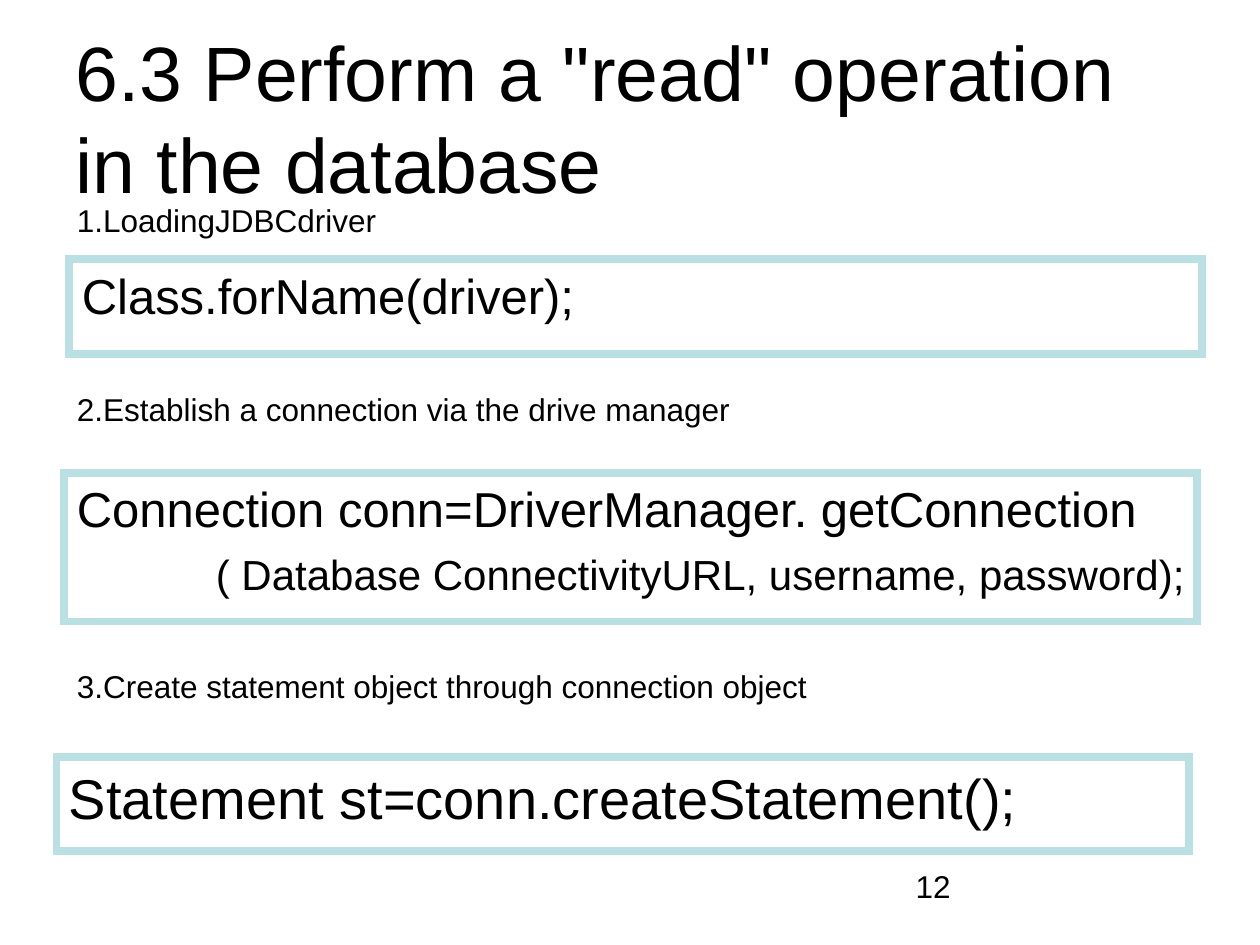
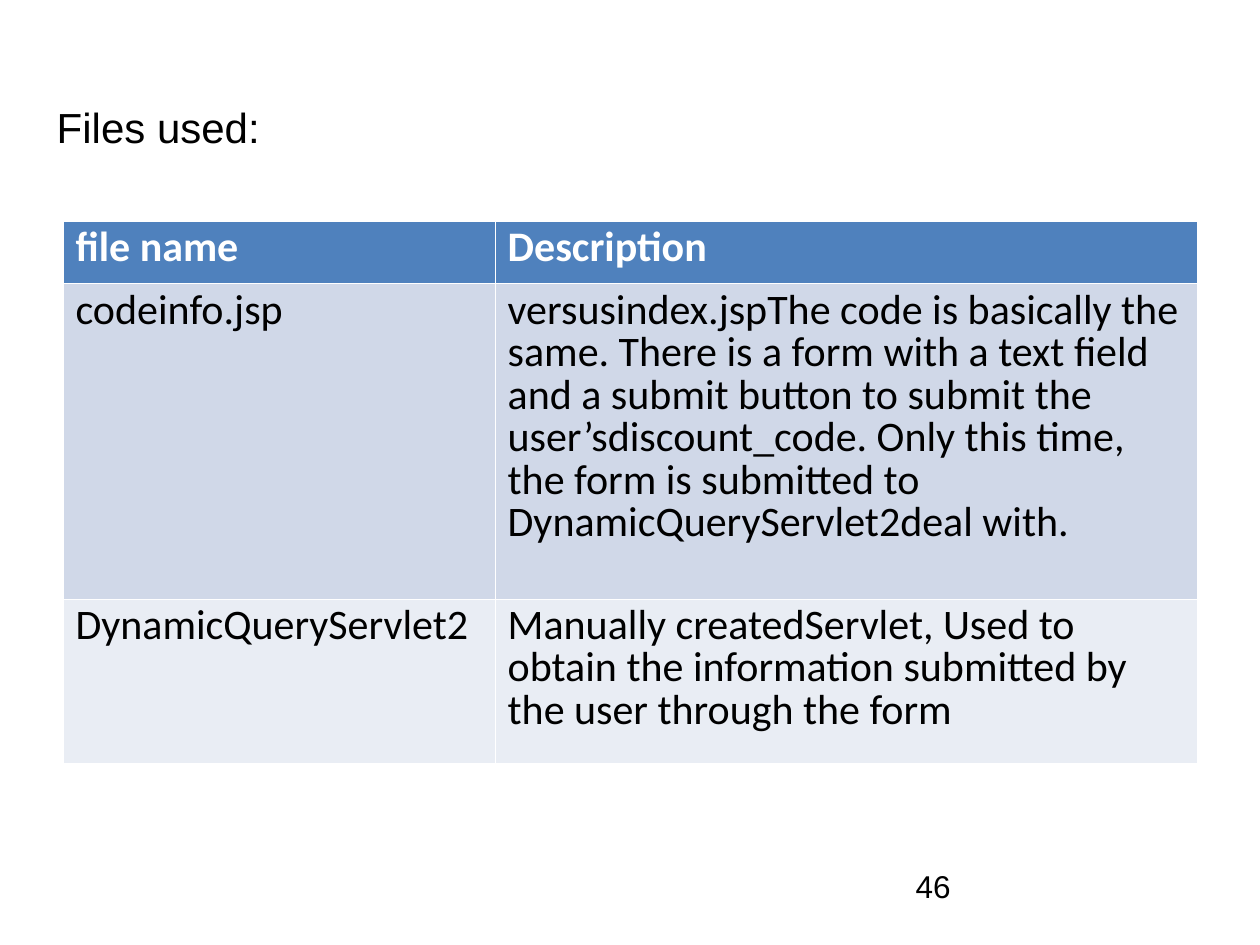
from lxml import etree
from pptx import Presentation
from pptx.dml.color import RGBColor
from pptx.enum import shapes, text
from pptx.oxml import ns
from pptx.util import Cm, Pt

BLACK, WHITE = "000000", "FFFFFF"
FRAME = "BBE0E3"
HEADER_FILL, ROW_FILLS = "4F81BD", ("D0D8E8", "E9EDF4")
TITLE_ONLY = 5


def colour(hex_code):
    return RGBColor.from_string(hex_code)


def write(paragraph, words, size=18, font="Arial", ink=BLACK, bold=False,
          align=text.PP_ALIGN.LEFT, before=0, spacing=None):
    """Put formatted words into a paragraph."""
    paragraph.alignment = align
    paragraph.space_before = Pt(before)
    if spacing:
        paragraph.line_spacing = spacing
    run = paragraph.add_run()
    run.text = words
    run.font.size, run.font.name, run.font.bold = Pt(size), font, bold
    run.font.color.rgb = colour(ink)


def place(shape, box):
    shape.left, shape.top, shape.width, shape.height = map(Cm, box)


def add_title(slide, words, box, size=44, anchor=text.MSO_ANCHOR.MIDDLE):
    title = slide.shapes.title
    place(title, box)
    frame = title.text_frame
    frame.auto_size = text.MSO_AUTO_SIZE.NONE
    frame.word_wrap = True
    frame.vertical_anchor = anchor
    write(frame.paragraphs[0], words, size)


def add_label(slide, words, box):
    frame = slide.shapes.add_textbox(*map(Cm, box)).text_frame
    frame.word_wrap = True
    write(frame.paragraphs[0], words)


def add_page_number(slide, number):
    add_label(slide, str(number), (18.21, 17.35, 5.92, 1.32))


def add_code_box(slide, lines, box):
    """Framed code; each line is (words, format)."""
    panel = slide.shapes.add_shape(shapes.MSO_SHAPE.RECTANGLE, *map(Cm, box))
    panel.shadow.inherit = False
    panel.fill.background()
    panel.line.color.rgb = colour(FRAME)
    panel.line.width = Pt(4.5)
    # Square corners
    outline = panel.line._get_or_add_ln()
    etree.SubElement(outline, ns.qn("a:miter"), lim="800000")
    frame = panel.text_frame
    frame.word_wrap = True
    frame.vertical_anchor = text.MSO_ANCHOR.TOP
    for i, (words, style) in enumerate(lines):
        paragraph = frame.add_paragraph() if i else frame.paragraphs[0]
        write(paragraph, words, **style)


def set_borders(cell, **widths):
    """White cell borders; widths in points by side L, R, T, B."""
    properties = cell._tc.get_or_add_tcPr()
    for side, width in widths.items():
        line = etree.SubElement(properties, ns.qn(f"a:ln{side}"), w=str(Pt(width)))
        fill = etree.SubElement(line, ns.qn("a:solidFill"))
        etree.SubElement(fill, ns.qn("a:srgbClr"), val=WHITE)


def add_file_table(slide, rows, box, column_widths, row_heights):
    table = slide.shapes.add_table(len(rows), len(rows[0]), *map(Cm, box)).table
    for column, width in zip(table.columns, column_widths):
        column.width = Cm(width)
    for r, (row, height) in enumerate(zip(rows, row_heights)):
        table.rows[r].height = Cm(height)
        header = r == 0
        for c, words in enumerate(row):
            cell = table.cell(r, c)
            set_borders(cell, L=0.23, R=0.23, T=0.75 if r == 1 else 0.23,
                        B=0.75 if header else 0.23)
            cell.fill.solid()
            cell.fill.fore_color.rgb = colour(
                HEADER_FILL if header else ROW_FILLS[(r - 1) % 2])
            write(cell.text_frame.paragraphs[0], words, 24, "Calibri",
                  WHITE if header else BLACK, bold=header, spacing=0.83)


def build_read_operation(slide):
    add_title(slide, '6.3 Perform a "read" operation in the database',
              (1.27, 0.76, 22.86, 3.18))

    # Steps: label, top and width of the label, code lines, box of the code
    steps = [
        ("1.LoadingJDBCdriver", 3.92, 6.9,
         [("Class.forName(driver);", {"size": 28})],
         (1.4, 5.23, 22.83, 1.9)),
        ("2.Establish a connection via the drive manager", 7.73, 14,
         [("Connection conn=DriverManager. getConnection", {"size": 28}),
          ("( Database ConnectivityURL, username, password);",
           {"size": 24, "align": text.PP_ALIGN.RIGHT, "before": 6})],
         (1.3, 9.53, 22.83, 3)),
        ("3.Create statement object through connection object", 13.32, 15.6,
         [("Statement st=conn.createStatement();", {"size": 32})],
         (1.14, 15.27, 22.83, 1.88)),
    ]
    for label, top, width, code, code_box in steps:
        add_label(slide, label, (1.3, top, width, 1.02))
        add_code_box(slide, code, code_box)
    add_page_number(slide, 12)


def build_files_used(slide):
    add_title(slide, "Files used:", (0.89, 1.92, 4.9, 1.27), size=24,
              anchor=text.MSO_ANCHOR.TOP)
    rows = [
        ("file name", "Description"),
        ("codeinfo.jsp",
         "versusindex.jspThe code is basically the same. There is a form with "
         "a text field and a submit button to submit the user’sdiscount_code. "
         "Only this time, the form is submitted to "
         "DynamicQueryServlet2deal with."),
        ("DynamicQueryServlet2",
         "Manually createdServlet, Used to obtain the information submitted "
         "by the user through the form"),
    ]
    add_file_table(slide, rows, (1.27, 4.45, 22.86, 10.93),
                   column_widths=(8.71, 14.15), row_heights=(1.27, 6.35, 3.31))
    add_page_number(slide, 46)


def main():
    deck = Presentation()
    deck.slide_width, deck.slide_height = Cm(25.4), Cm(19.05)
    for build in (build_read_operation, build_files_used):
        build(deck.slides.add_slide(deck.slide_layouts[TITLE_ONLY]))
    deck.save("out.pptx")


if __name__ == "__main__":
    main()
